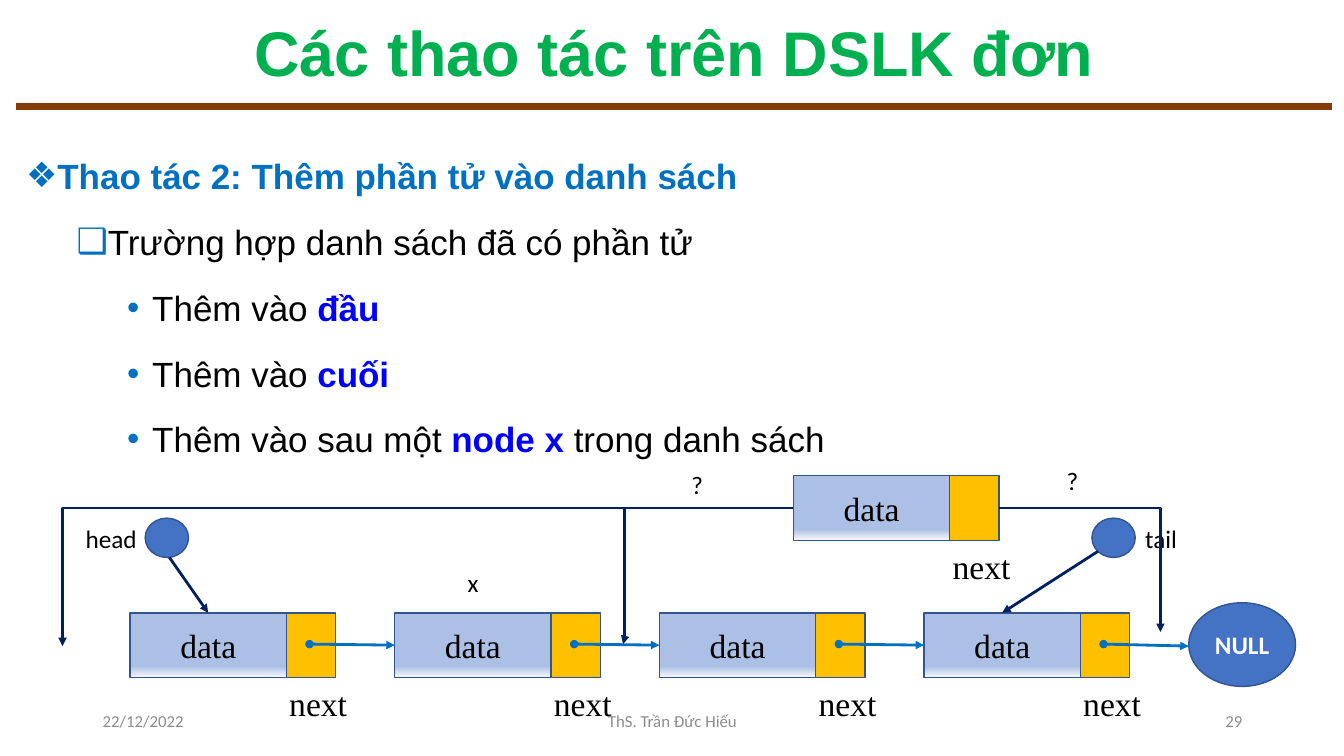
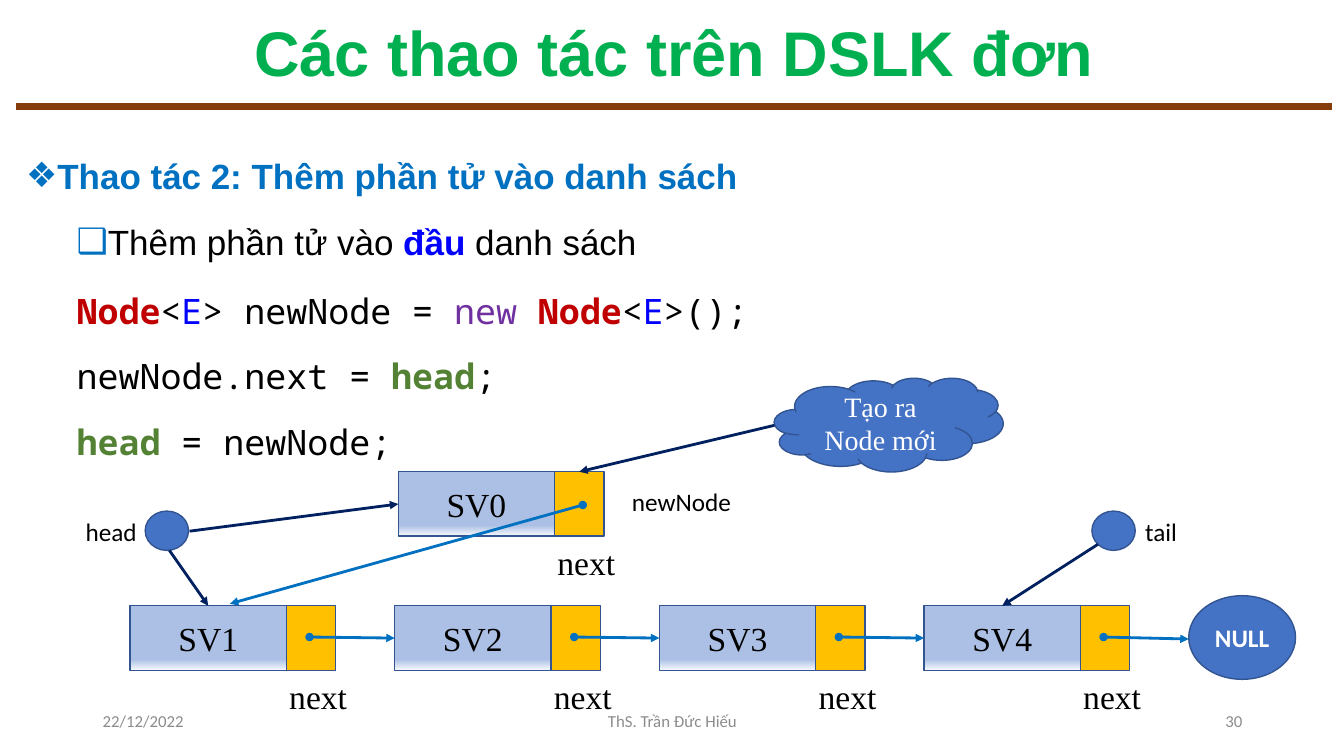
from lxml import etree
from pptx import Presentation
from pptx.dml.color import RGBColor
from pptx.enum import shapes, text
from pptx.oxml import ns
from pptx.util import Inches, Pt

GREEN = RGBColor(0x00, 0xB0, 0x50)
BROWN = RGBColor(0x84, 0x3C, 0x0B)
SKY = RGBColor(0x00, 0x70, 0xC0)
NAVY = RGBColor(0x00, 0x20, 0x60)
PURE_BLUE = RGBColor(0x00, 0x00, 0xFF)
RED = RGBColor(0xC0, 0x00, 0x00)
PURPLE = RGBColor(0x70, 0x30, 0xA0)
LEAF = RGBColor(0x54, 0x82, 0x35)
BLACK = RGBColor(0x00, 0x00, 0x00)
WHITE = RGBColor(0xFF, 0xFF, 0xFF)
GREY = RGBColor(0x8C, 0x8C, 0x8C)
BLUE = RGBColor(0x44, 0x72, 0xC4)
OUTLINE = RGBColor(0x32, 0x54, 0x91)
PALE = RGBColor(0xAB, 0xC0, 0xE4)
MIST = RGBColor(0xF6, 0xF8, 0xFC)
GOLD = RGBColor(0xFF, 0xC0, 0x00)

SHAPE = shapes.MSO_SHAPE
ALIGN = text.PP_ALIGN
MIDDLE = text.MSO_ANCHOR.MIDDLE

TITLE = {"name": "Arial", "size": Pt(45), "bold": True, "color": GREEN}
FOOTER = {"name": "Calibri", "size": Pt(12), "color": GREY}
LABEL = {"name": "Calibri", "size": Pt(18), "color": BLACK}
NODE = {"name": "Times New Roman", "size": Pt(24), "color": BLACK}
NULL = {**LABEL, "bold": True, "color": WHITE}
CLOUD = {**NODE, "size": Pt(20), "color": WHITE}
PLAIN = {"name": "Arial", "size": Pt(25), "bold": False, "color": BLACK}
HEADING = {**PLAIN, "bold": True, "color": SKY}
KEY = {**PLAIN, "bold": True, "color": PURE_BLUE}
CODE = {**PLAIN, "name": "Noto Sans Mono"}
CLASS = {**CODE, "bold": True, "color": RED}
GENERIC = {**CODE, "color": PURE_BLUE}
KEYWORD = {**CODE, "color": PURPLE}
POINTER = {**CODE, "bold": True, "color": LEAF}

ROW = {"alignment": ALIGN.JUSTIFY, "line_spacing": Pt(42), "space_before": Pt(5)}
TOPIC_LEVEL = (0, 0.25, -0.25, "❖", {"line_spacing": 1.3, "space_before": Pt(10)})
CASE_LEVEL = (1, 0.75, -0.25, "❑", ROW)
ITEM_LEVEL = (2, 1.25, -0.25, "•", ROW)
CODE_LEVEL = (1, 0.5, 0, None, ROW)
CODE_START = (1, 0.5, 0, None, {**ROW, "space_before": Pt(7)})

DATA_WIDTH, NEXT_WIDTH, NODE_HEIGHT = 1.55, 0.49, 0.64
NODE_GAP = 2.625
CHAIN_LEFT = 1.29


def apply(target, formats):
    for name, value in formats.items():
        if name == "color":
            target.color.rgb = value
        else:
            setattr(target, name, value)


def write(box, words, formats, align=ALIGN.LEFT):
    para = box.text_frame.paragraphs[0]
    para.alignment = align
    span = para.add_run()
    span.text = words
    apply(span.font, formats)
    return para


def place(item, left, top, width, height):
    apply(item, {"left": Inches(left), "top": Inches(top),
                 "width": Inches(width), "height": Inches(height)})


def add_label(page, left, top, width, height, words, formats):
    box = page.shapes.add_textbox(*map(Inches, (left, top, width, height)))
    box.text_frame.word_wrap = False
    write(box, words, formats)


def add_figure(page, kind, left, top, width, height, fill=BLUE, words=None, formats=None):
    figure = page.shapes.add_shape(kind, *map(Inches, (left, top, width, height)))
    figure.shadow.inherit = False
    figure.fill.solid()
    figure.fill.fore_color.rgb = fill
    figure.line.color.rgb = OUTLINE
    figure.line.width = Pt(1)
    if words:
        apply(figure.text_frame, {"word_wrap": True, "vertical_anchor": MIDDLE})
        write(figure, words, formats, ALIGN.CENTER)
    return figure


def add_line(page, start, end, color, width=2, head=None, tail="triangle",
             kind=shapes.MSO_CONNECTOR.STRAIGHT):
    line = page.shapes.add_connector(kind, *map(Inches, (*start, *end)))
    line.line.color.rgb = color
    line.line.width = Pt(width)
    properties = line.line._get_or_add_ln()
    for tag, ending in (("a:headEnd", head), ("a:tailEnd", tail)):
        if ending:
            etree.SubElement(properties, ns.qn(tag), type=ending)
    etree.SubElement(line._element.spPr, ns.qn("a:effectLst"))
    return line


def add_elbow(page, start, end, bend):
    elbow = add_line(page, start, end, NAVY, kind=shapes.MSO_CONNECTOR.ELBOW)
    geometry = elbow._element.spPr.find(ns.qn("a:prstGeom"))
    guides = geometry.find(ns.qn("a:avLst"))
    if guides is None:
        guides = etree.SubElement(geometry, ns.qn("a:avLst"))
    etree.SubElement(guides, ns.qn("a:gd"), name="adj1", fmla=f"val {round(bend * 100000)}")


def set_bullet(para, margin, indent, mark):
    properties = para._p.get_or_add_pPr()
    properties.set("marL", str(Inches(margin)))
    properties.set("indent", str(Inches(indent)))
    if mark is None:
        etree.SubElement(properties, ns.qn("a:buNone"))
        return
    color = etree.SubElement(properties, ns.qn("a:buClr"))
    etree.SubElement(color, ns.qn("a:srgbClr"), val=str(SKY))
    etree.SubElement(properties, ns.qn("a:buFont"), typeface="Arial")
    etree.SubElement(properties, ns.qn("a:buChar"), char=mark)


def fill_body(body, rows):
    place(body, 0.16, 1.36, 13.05, 6.05)
    frame = body.text_frame
    frame.auto_size = text.MSO_AUTO_SIZE.NONE
    for index, ((level, margin, indent, mark, spacing), spans) in enumerate(rows):
        para = frame.add_paragraph() if index else frame.paragraphs[0]
        para.level = level
        apply(para, spacing)
        set_bullet(para, margin, indent, mark)
        for words, formats in spans:
            span = para.add_run()
            span.text = words
            apply(span.font, formats)


def add_page(deck, number, rows):
    page = deck.slides.add_slide(deck.slide_layouts[1])
    add_line(page, (0.16, 1.06), (13.21, 1.06), BROWN, 5, tail=None)
    title = page.shapes.title
    place(title, 0.16, 0.15, 13.05, 0.81)
    apply(title.text_frame, {"vertical_anchor": MIDDLE, "auto_size": text.MSO_AUTO_SIZE.NONE})
    write(title, "Các thao tác trên DSLK đơn", TITLE, ALIGN.CENTER).line_spacing = 0.9
    for left, width, words, align in (
        (0.92, 3, "22/12/2022", ALIGN.LEFT),
        (4.42, 4.5, "ThS. Trần Đức Hiếu", ALIGN.CENTER),
        (9.42, 3, str(number), ALIGN.RIGHT),
    ):
        box = page.shapes.add_textbox(*map(Inches, (left, 6.95, width, 0.4)))
        apply(box.text_frame, {"word_wrap": True, "vertical_anchor": MIDDLE})
        write(box, words, FOOTER, align)
    fill_body(page.placeholders[1], rows)
    return page


def add_node(page, left, top, words):
    data = add_figure(page, SHAPE.RECTANGLE, left, top, DATA_WIDTH, NODE_HEIGHT,
                      PALE, words, NODE)
    data.fill.gradient()
    data.fill.gradient_angle = 270
    for stop, position, color in zip(data.fill.gradient_stops, (0.83, 1), (PALE, MIST)):
        stop.position = position
        stop.color.rgb = color
    pocket = add_figure(page, SHAPE.RECTANGLE, left + DATA_WIDTH, top,
                        NEXT_WIDTH, NODE_HEIGHT, GOLD)
    add_label(page, left + 1.48, top + 0.65, 0.78, 0.5, "next", NODE)
    return data, pocket


def add_chain(page, top, names):
    lefts = [CHAIN_LEFT + NODE_GAP * index for index in range(len(names))]
    nodes = [add_node(page, left, top, name)[0] for left, name in zip(lefts, names)]
    add_figure(page, SHAPE.OVAL, 11.79, top - 0.1, 1.06, 0.83, BLUE, "NULL", NULL)
    for left, follower in zip(lefts, nodes[1:] + [None]):
        link = add_line(page, (left + 1.78, top + 0.31), (left + NODE_GAP, top + 0.33),
                        SKY, head="oval")
        if follower is not None:
            link.end_connect(follower, 1)
    for words, circle_left, label_left, label_width, start, node in (
        ("head", 1.44, 0.75, 0.72, (1.68, top - 0.55), nodes[0]),
        ("tail", 10.83, 11.26, 0.52, (10.89, top - 0.61), nodes[-1]),
    ):
        add_figure(page, SHAPE.OVAL, circle_left, top - 0.94, 0.43, 0.39)
        add_label(page, label_left, top - 0.94, label_width, 0.4, words, LABEL)
        add_line(page, start, (start[0], top), NAVY).end_connect(node, 0)


def add_insert_choices(page, left, top):
    add_node(page, left, top, "data")
    middle = top + NODE_HEIGHT / 2
    right = left + DATA_WIDTH + NEXT_WIDTH
    for start, end, bend in (
        (left, (left - 7.25, middle + 1.37), 1),
        (left, (left - 1.69, middle + 1.35), 0.99),
        (right, (right + 1.6, middle + 1.23), 1),
    ):
        add_elbow(page, (start, middle), end, bend)
    for words, mark_left, mark_top in (
        ("?", left - 1.11, top - 0.11),
        ("?", left + 2.61, top - 0.15),
        ("x", left - 3.33, top + 0.86),
    ):
        add_label(page, mark_left, mark_top, 0.32, 0.4, words, LABEL)


def add_new_head(page, left, top):
    data, pocket = add_node(page, left, top, "SV0")
    add_label(page, left + 2.22, top + 0.1, 1.2, 0.4, "newNode", LABEL)
    add_line(page, (left - 2.07, top + 0.59), (left, top), NAVY).end_connect(data, 1)
    add_line(page, (left + 1.83, top + 0.33), (left - 1.67, top + 1.31), SKY, head="oval")
    add_figure(page, SHAPE.CLOUD, left + 3.73, top - 0.93, 2.27, 0.93,
               BLUE, "Tạo ra Node mới", CLOUD)
    add_line(page, (left + 3.73, top - 0.46), (left, top), NAVY).end_connect(pocket, 0)


def main():
    deck = Presentation()
    deck.slide_width, deck.slide_height = Inches(13.33), Inches(7.5)
    topic = (TOPIC_LEVEL, [("Thao tác 2: Thêm phần tử vào danh sách", HEADING)])

    choices = add_page(deck, 29, [
        topic,
        (CASE_LEVEL, [("Trường hợp danh sách đã có phần tử", PLAIN)]),
        (ITEM_LEVEL, [("Thêm vào ", PLAIN), ("đầu", KEY)]),
        (ITEM_LEVEL, [("Thêm vào ", PLAIN), ("cuối", KEY)]),
        (ITEM_LEVEL, [("Thêm vào sau một ", PLAIN), ("node x", KEY),
                      (" trong danh sách", PLAIN)]),
    ])
    add_chain(choices, 6.08, ["data"] * 4)
    add_insert_choices(choices, 7.87, 4.72)

    prepend = add_page(deck, 30, [
        topic,
        (CASE_LEVEL, [("Thêm phần tử vào ", PLAIN), ("đầu", KEY), (" danh sách", PLAIN)]),
        (CODE_START, [("Node", CLASS), ("<", CODE), ("E", GENERIC), ("> newNode = ", CODE),
                      ("new ", KEYWORD), ("Node", CLASS), ("<", CODE), ("E", GENERIC),
                      (">();", CODE)]),
        (CODE_LEVEL, [("newNode.next = ", CODE), ("head", POINTER), (";", CODE)]),
        (CODE_LEVEL, [("head", POINTER), (" = newNode;", CODE)]),
    ])
    add_chain(prepend, 6.01, ["SV1", "SV2", "SV3", "SV4"])
    add_new_head(prepend, 3.95, 4.68)

    deck.save("out.pptx")


if __name__ == "__main__":
    main()
